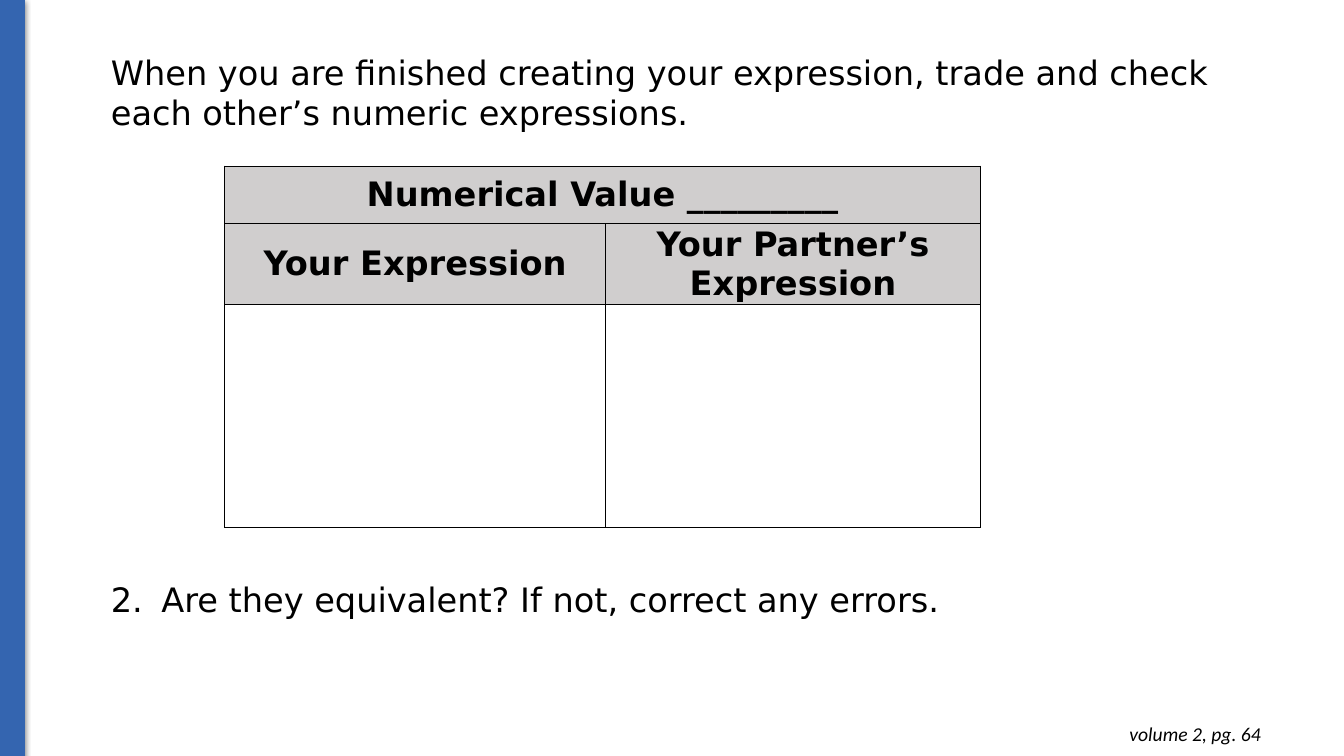
from lxml.etree import SubElement
from pptx import Presentation
from pptx.dml.color import RGBColor
from pptx.enum.shapes import MSO_SHAPE
from pptx.enum.text import MSO_ANCHOR, MSO_AUTO_SIZE, PP_ALIGN
from pptx.oxml.ns import qn
from pptx.util import Cm, Pt

COLORS = {"accent": "3465B0", "text": "000000", "header": "D0CECE"}
BODY_FONT = {"name": "DejaVu Sans", "size": Pt(24), "bold": False}
HEADER_FONT = {**BODY_FONT, "bold": True}
SOURCE_FONT = {"name": "Calibri", "size": Pt(14), "italic": True}
FRAME = {"word_wrap": True, "vertical_anchor": MSO_ANCHOR.TOP,
         "auto_size": MSO_AUTO_SIZE.SHAPE_TO_FIT_TEXT}


def color(name):
    return RGBColor.from_string(COLORS[name])


def apply(target, values):
    for name, value in values.items():
        setattr(target, name, value)


def place(shape, box):
    apply(shape, dict(zip(("left", "top", "width", "height"), box)))


def write(text_frame, text, font, alignment=PP_ALIGN.LEFT):
    paragraph = text_frame.paragraphs[0]
    run = paragraph.add_run()
    run.text = text
    apply(paragraph, {"alignment": alignment, "space_before": Pt(0)})
    apply(run.font, font)
    run.font.color.rgb = color("text")


def add_side_bar(slide, box):
    bar = slide.shapes.add_shape(MSO_SHAPE.RECTANGLE, *box)
    bar.fill.solid()
    bar.fill.fore_color.rgb = color("accent")
    bar.line.color.rgb = color("accent")
    bar.line.width = Pt(0.75)
    # Soft shadow below the bar
    bar.shadow.inherit = False
    effects = bar._element.spPr.find(qn("a:effectLst"))
    shadow = SubElement(effects, qn("a:outerShdw"), blurRad=str(Pt(4.5)),
                        dist=str(Pt(1.5)), dir="5400000", rotWithShape="0")
    shade = SubElement(shadow, qn("a:srgbClr"), val=COLORS["text"])
    SubElement(shade, qn("a:alpha"), val="50000")


def add_instruction(slide, box):
    title = slide.shapes.title
    place(title, box)
    apply(title.text_frame, FRAME)
    write(title.text_frame, "When you are finished creating your expression, "
          "trade and check each other’s numeric expressions.", BODY_FONT)


def add_question(slide, box):
    body = slide.placeholders[1]
    place(body, box)
    apply(body.text_frame, FRAME)
    # Numbered list that starts at 2
    properties = body.text_frame.paragraphs[0]._p.get_or_add_pPr()
    properties.set("marL", str(Cm(1.27)))
    properties.set("indent", str(-Cm(1.27)))
    bullet_color = SubElement(properties, qn("a:buClr"))
    SubElement(bullet_color, qn("a:srgbClr"), val=COLORS["text"])
    SubElement(properties, qn("a:buFont"), typeface=BODY_FONT["name"])
    SubElement(properties, qn("a:buAutoNum"), type="arabicPeriod", startAt="2")
    write(body.text_frame, "Are they equivalent? If not, correct any errors.",
          BODY_FONT)


def add_source(slide, box):
    text_frame = slide.shapes.add_textbox(*box).text_frame
    apply(text_frame, FRAME)
    sides = ("left", "top", "right", "bottom")
    apply(text_frame, {f"margin_{side}": Cm(0.25) for side in sides})
    write(text_frame, "volume 2, pg. 64", SOURCE_FONT, PP_ALIGN.RIGHT)


def format_cell(cell, text):
    apply(cell, {"margin_left": Cm(0.18), "margin_right": Cm(0.18),
                 "margin_top": 0, "margin_bottom": 0,
                 "vertical_anchor": MSO_ANCHOR.MIDDLE})
    properties = cell._tc.get_or_add_tcPr()
    for side in ("lnL", "lnR", "lnT", "lnB"):
        border = SubElement(properties, qn(f"a:{side}"), w=str(Pt(1)))
        fill = SubElement(border, qn("a:solidFill"))
        SubElement(fill, qn("a:srgbClr"), val=COLORS["text"])
    if text is None:
        cell.fill.background()
        return
    cell.fill.solid()
    cell.fill.fore_color.rgb = color("header")
    if text:
        write(cell.text_frame, text, HEADER_FONT, PP_ALIGN.CENTER)


def add_expression_table(slide, box):
    rows = (("Numerical Value _________", ""),
            ("Your Expression", "Your Partner’s Expression"),
            (None, None))
    table = slide.shapes.add_table(len(rows), 2, *box).table
    apply(table, {"first_row": False, "horz_banding": False})
    for column, width in zip(table.columns, (9.6, 9.45)):
        column.width = Cm(width)
    for row, height in zip(table.rows, (1.45, 2.03, 5.61)):
        row.height = Cm(height)
    table.cell(0, 0).merge(table.cell(0, 1))
    for row, texts in zip(table.rows, rows):
        for cell, text in zip(row.cells, texts):
            format_cell(cell, text)


def main():
    presentation = Presentation()
    presentation.slide_width, presentation.slide_height = Cm(33.87), Cm(19.05)
    slide = presentation.slides.add_slide(presentation.slide_layouts[1])
    regions = (
        (add_side_bar, (0, 0, 0.61, 19.08)),
        (add_instruction, (2.54, 1.17, 29.21, 2.31)),
        (add_source, (24.71, 17.93, 7.32, 1.12)),
        (add_expression_table, (5.66, 4.19, 19.05, 9.09)),
        (add_question, (2.54, 14.45, 23.22, 1.27)),
    )
    for add_region, box in regions:
        add_region(slide, [Cm(length) for length in box])
    presentation.save("out.pptx")


if __name__ == "__main__":
    main()
